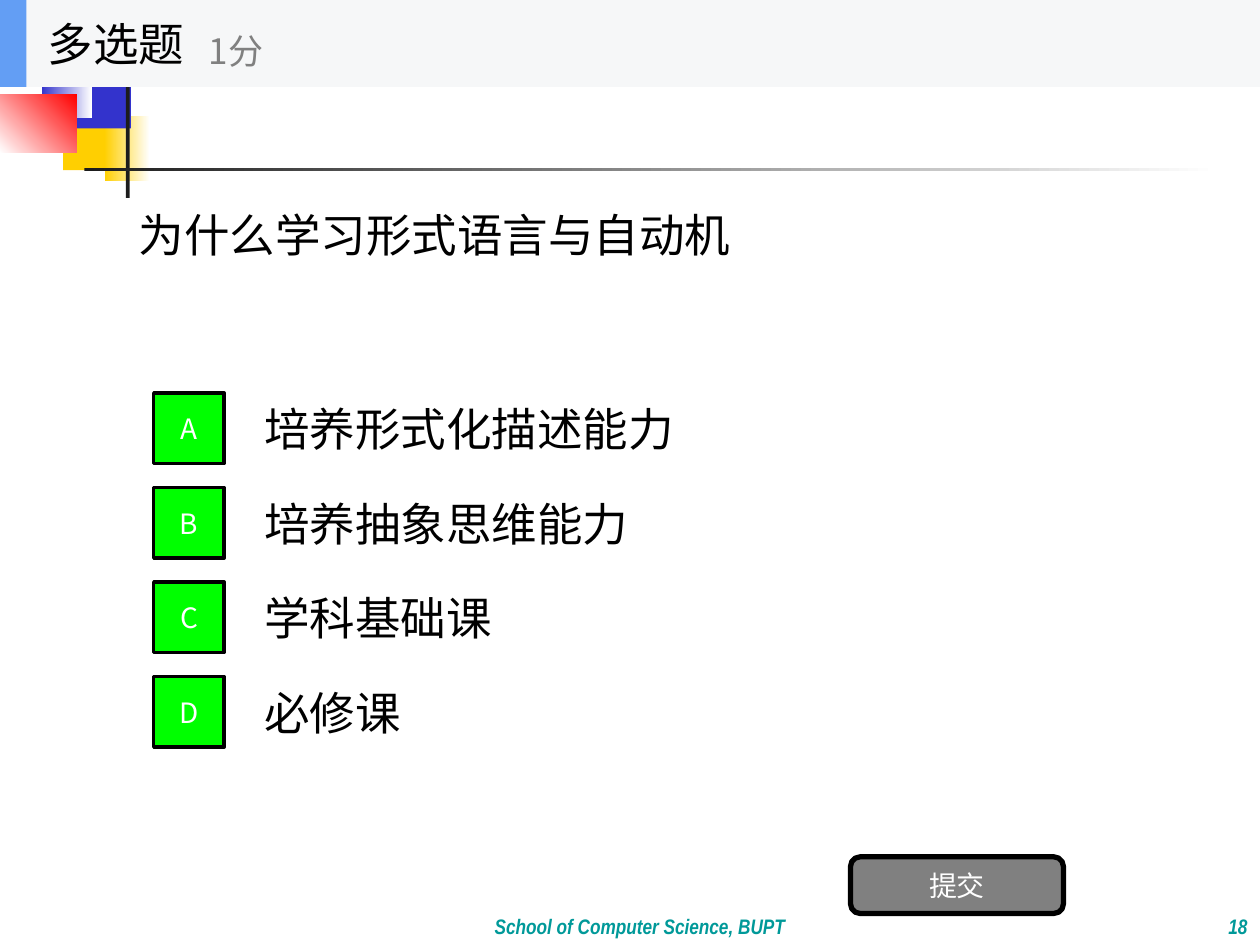
from dataclasses import dataclass

from lxml.etree import SubElement as Sub
from pptx import Presentation
from pptx.dml.color import RGBColor
from pptx.enum.shapes import MSO_SHAPE as Kind
from pptx.enum.text import MSO_ANCHOR as Anchor, MSO_AUTO_SIZE as Auto, PP_ALIGN as Align
from pptx.oxml.ns import qn
from pptx.util import Inches, Pt

SANS = "Noto Sans CJK SC"
NARROW = "Arial Narrow"
BLACK, WHITE, GRAY, INK = "000000", "FFFFFF", "808080", "1C1C1C"
GOLD, BLUE, RED, TEAL = "FFCF01", "3333CC", "FF0000", "009999"
COLS, ROWS = 100, 75


@dataclass
class Box:
    x: float
    y: float
    w: float
    h: float


@dataclass
class Block:
    box: Box
    fill: str
    fade: str = ""
    angle: int = 0


@dataclass
class Style:
    size: int
    color: str = BLACK
    font: str = SANS
    align: Align = Align.LEFT
    anchor: Anchor = Anchor.MIDDLE
    strong: bool = False
    lines: float = 1.0


deck = Presentation()
deck.slide_width, deck.slide_height = Inches(10), Inches(7.5)
slide = deck.slides.add_slide(deck.slide_layouts[5])
shapes = slide.shapes


def paint(code: str) -> RGBColor:
    return RGBColor.from_string(code)


def area(box: Box) -> tuple[int, int, int, int]:
    col, row = deck.slide_width / COLS, deck.slide_height / ROWS
    return (round(box.x * col), round(box.y * row),
            round(box.w * col), round(box.h * row))


def write(shape, text: str, style: Style) -> None:
    frame = shape.text_frame
    frame.text = text
    frame.word_wrap = True
    frame.auto_size = Auto.NONE
    frame.vertical_anchor = style.anchor
    para = frame.paragraphs[0]
    para.alignment = style.align
    para.line_spacing = style.lines
    for run in para.runs:
        font = run.font
        font.size = Pt(style.size)
        font.name = style.font
        font.bold = font.italic = style.strong
        font.color.rgb = paint(style.color)
        Sub(run._r.get_or_add_rPr(), qn("a:ea")).set("typeface", style.font)


def label(box: Box, text: str, style: Style) -> None:
    write(shapes.add_textbox(*area(box)), text, style)


def draw(block: Block, kind: Kind = Kind.RECTANGLE):
    shape = shapes.add_shape(kind, *area(block.box))
    shape.shadow.inherit = False
    shape.line.fill.background()
    if block.fade:
        shape.fill.gradient()
        shape.fill.gradient_angle = block.angle
        for stop, code, spot in zip(shape.fill.gradient_stops,
                                    (block.fill, block.fade), (0, 1)):
            stop.color.rgb = paint(code)
            stop.position = spot
    else:
        shape.fill.solid()
        shape.fill.fore_color.rgb = paint(block.fill)
    return shape


def button(block: Block, text: str, edge: float, kind: Kind = Kind.RECTANGLE):
    shape = draw(block, kind)
    shape.line.color.rgb = paint(BLACK)
    shape.line.width = Pt(edge)
    frame = shape.text_frame
    frame.margin_left = frame.margin_right = 0
    write(shape, text, Style(16, WHITE, align=Align.CENTER))
    return shape


DECOR = [
    Block(Box(5, 8.3, 4.8, 5.2), GOLD),
    Block(Box(8.3, 9.2, 3.6, 5.2), GOLD, WHITE),
    Block(Box(5.8, 5, 4.6, 5.2), BLUE),
    Block(Box(3.3, 4.2, 4, 5.2), BLUE, WHITE),
    Block(Box(0, 7.5, 6.1, 4.6), WHITE, RED, 45),
    Block(Box(10, 4.2, 0.3, 11.5), INK),
    Block(Box(6.7, 13.3, 90, 0.3), INK, WHITE),
]
CHOICES = ["培养形式化描述能力", "培养抽象思维能力", "学科基础课", "必修课"]
FIRST, STEP, TALL, SIDE = 30.5, 7.5, 7, 5.6
BAR = 6.9

for block in DECOR:
    draw(block)

label(Box(83.3, 70, 16.7, 5), "18",
      Style(12, TEAL, NARROW, Align.RIGHT, Anchor.BOTTOM, True))
label(Box(15.8, 70, 70, 5), "School of Computer Science, BUPT",
      Style(12, TEAL, NARROW, Align.CENTER, Anchor.BOTTOM, True, 1.1))

title = shapes.title
title.left, title.top, title.width, title.height = area(Box(10, BAR, 80, 23.4))
write(title, "为什么学习形式语言与自动机", Style(26))

for i, (mark, text) in enumerate(zip("ABCD", CHOICES)):
    top = FIRST + i * STEP
    label(Box(20, top, 70, TALL), text, Style(26))
    button(Block(Box(12.2, top + (TALL - SIDE) / 2, SIDE, SIDE), "00FF00"), mark, 2)

submit = button(Block(Box(67.5, 68, 16.9, 4.5), GRAY), "提交", 3, Kind.ROUNDED_RECTANGLE)
submit.adjustments[0] = 0.17

draw(Block(Box(0, 0, COLS, BAR), "F6F7F8"))
draw(Block(Box(0, 0, 2.1, BAR), "639EF4"))
label(Box(2.8, 0, 20.8, BAR), "多选题", Style(26))
label(Box(15.6, 1.2, 25, 5.6), "1分", Style(20, GRAY))

deck.save("out.pptx")
